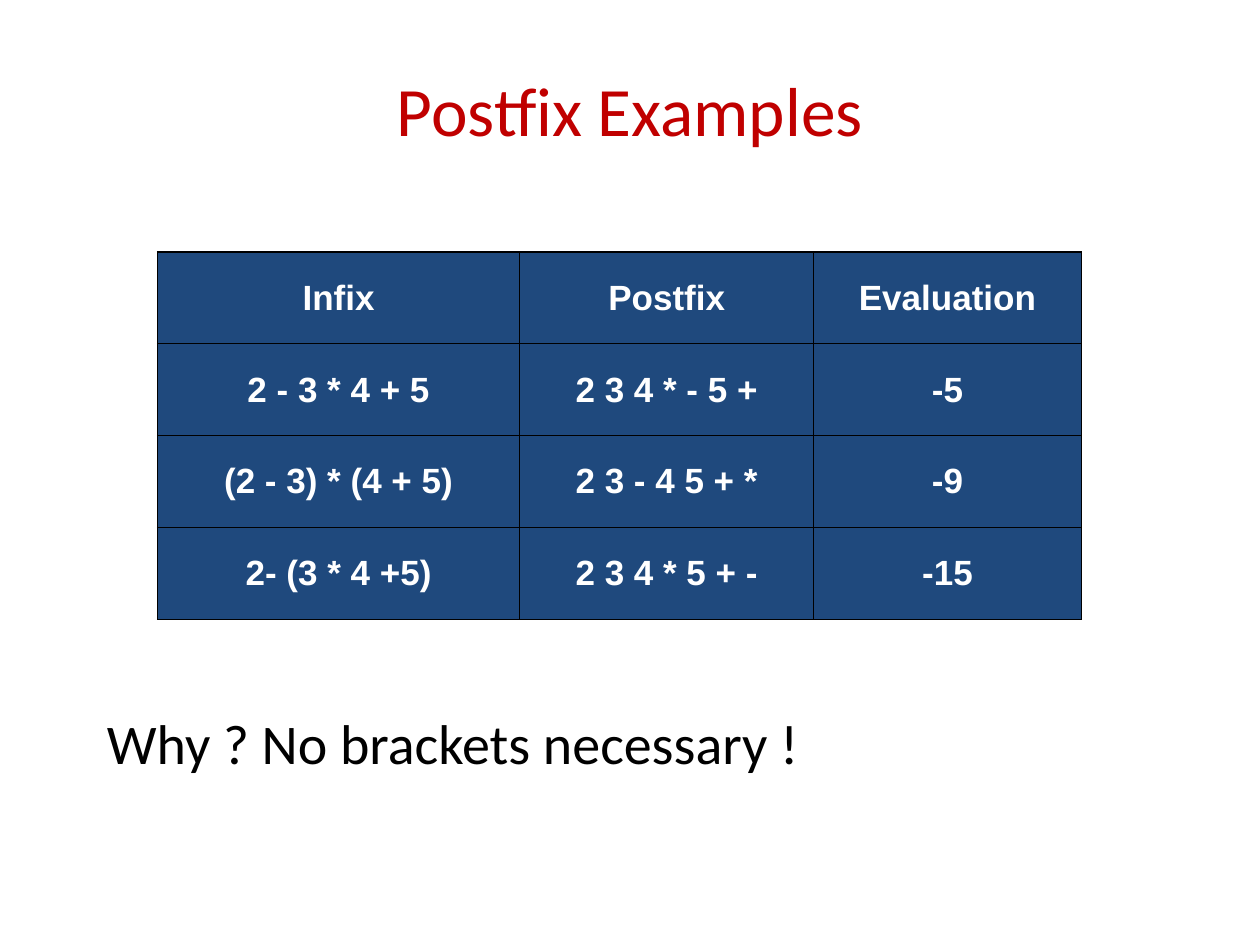
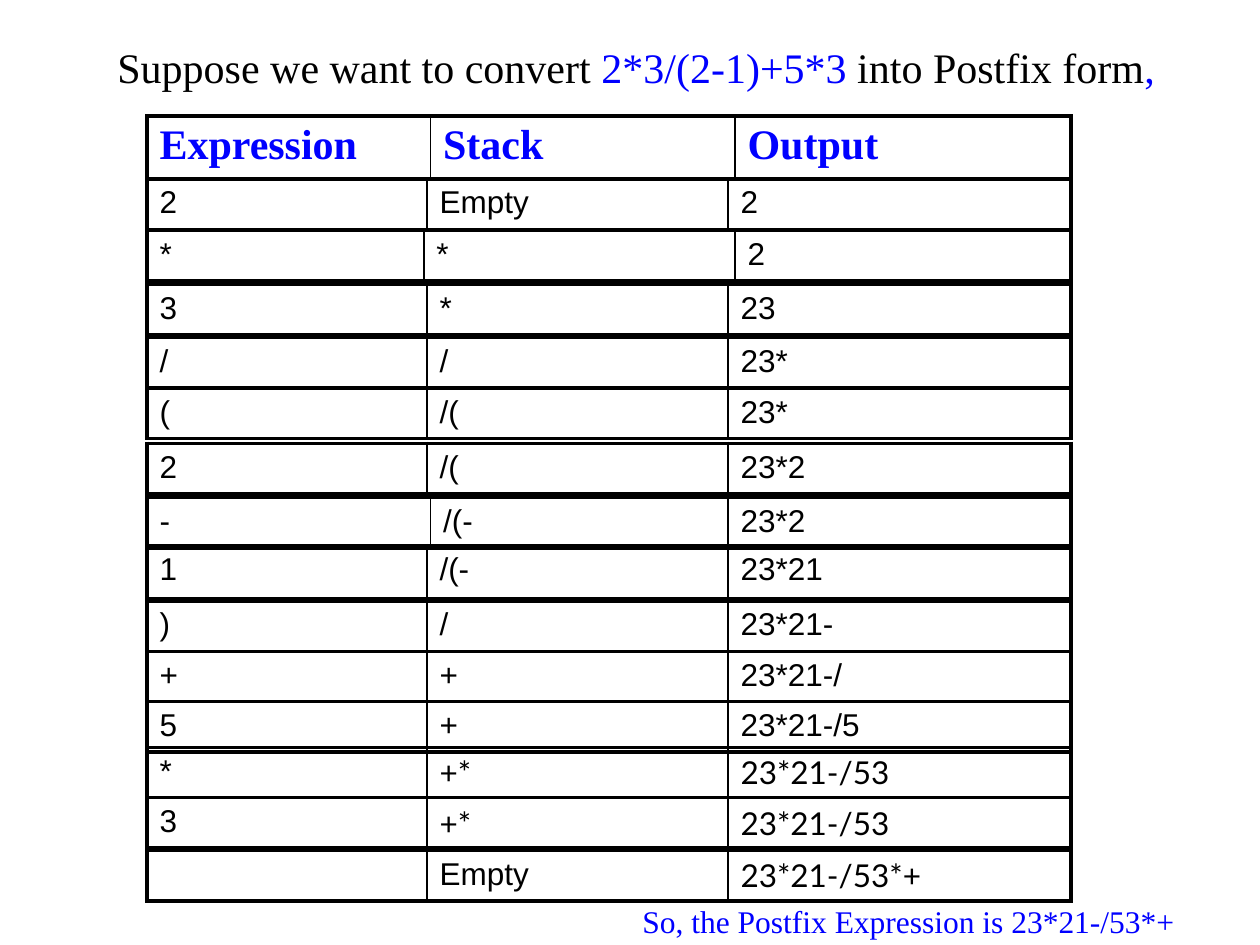
from lxml import etree
from pptx import Presentation, util as u
from pptx.dml.color import RGBColor
from pptx.enum import text
from pptx.oxml.ns import qn

COLORS = {"title": "C00000", "cell": "1F497D", "light": "FFFFFF",
          "ink": "000000", "accent": "0000FF"}
SANS, SERIF, BODY, SYMBOLS = "Arial", "Times New Roman", "Calibri", "Lato"
THIN, INNER, THICK = 0.75, 1, 2.25
TABLE_WIDTH = 528
TRACE_LEFT = 84

NOTATIONS = [
    ("Infix", "Postfix", "Evaluation"),
    ("2 - 3 * 4 + 5", "2 3 4 * - 5 +", "-5"),
    ("(2 - 3) * (4 + 5)", "2 3 - 4 5 + *", "-9"),
    ("2- (3 * 4 +5)", "2 3 4 * 5 + -", "-15"),
]

# Each step of the conversion: top, (expression, stack, output)
STEPS = [
    (102.2, ("2", "Empty", "2")),
    (131.8, ("*", "*", "2")),
    (162.7, ("3", "*", "23")),
    (193, ("/", "/", "23*")),
    (221.8, ("(", "/(", "23*")),
    (253.4, ("2", "/(", "23*2")),
    (284.4, ("-", "/(-", "23*2")),
    (311.8, ("1", "/(-", "23*21")),
    (343.4, (")", "/", "23*21-")),
    (372.2, ("+", "+", "23*21-/")),
    (401, ("5", "+", "23*21-/5")),
    (427, ("*", "+*", "23*21-/53")),
    (455.8, ("3", "+*", "23*21-/53")),
    (486, ("", "Empty", "23*21-/53*+")),
]
STEP_HEIGHT = 28.8
STEP_HEIGHTS = {"1": 30.2}
STEP_DIVIDERS = (160, 332)
DIVIDERS = {"*2": (158.2, 336), "-/(-": (162, 332)}
SYMBOL_TEXTS = {"+*", "23*21-/53", "23*21-/53*+"}


class Deck:
    def __init__(self):
        self.prs = Presentation()
        self.prs.slide_width, self.prs.slide_height = u.Pt(720), u.Pt(540)
        self.slide = None

    def new_slide(self):
        self.slide = self.prs.slides.add_slide(self.prs.slide_layouts[6])

    def style(self, font, face, size, color, bold=False):
        font.name, font.size, font.bold = face, u.Pt(size), bold
        font.color.rgb = RGBColor.from_string(COLORS[color])

    def line(self, box, runs, face, size, wrap=False, align=text.PP_ALIGN.LEFT):
        """Add one line of text from (wording, color) runs."""
        frame = self.slide.shapes.add_textbox(*map(u.Pt, box)).text_frame
        frame.word_wrap = wrap
        frame.vertical_anchor = text.MSO_ANCHOR.MIDDLE
        paragraph = frame.paragraphs[0]
        paragraph.alignment = align
        self.style(paragraph.font, face, size, runs[0][1])
        for wording, color in runs:
            run = paragraph.add_run()
            run.text = wording
            self.style(run.font, face, size, color)

    def borders(self, cell, widths):
        """Draw the left, right, top and bottom borders, in that order."""
        properties = cell._tc.get_or_add_tcPr()
        for side, width in zip("LRTB", widths):
            edge = etree.SubElement(properties, qn(f"a:ln{side}"), w=str(int(u.Pt(width))))
            fill = etree.SubElement(edge, qn("a:solidFill"))
            etree.SubElement(fill, qn("a:srgbClr"), val=COLORS["ink"])

    def table(self, left, top, dividers, row_height, rows, face, size, color,
              bold=False, fill=None, inner=INNER, outer=THICK, centered=False):
        edges = (0, *dividers, TABLE_WIDTH)
        last = len(edges) - 2
        grid = self.slide.shapes.add_table(
            len(rows), last + 1, u.Pt(left), u.Pt(top),
            u.Pt(TABLE_WIDTH), u.Pt(row_height * len(rows))).table
        grid.first_row = grid.horz_banding = False
        for column, start, end in zip(grid.columns, edges, edges[1:]):
            column.width = u.Pt(end - start)
        for r, wordings in enumerate(rows):
            grid.rows[r].height = u.Pt(row_height)
            for c, wording in enumerate(wordings):
                cell = grid.cell(r, c)
                self.borders(cell, (inner if c else outer, inner if c < last else outer,
                                    outer, outer))
                if fill:
                    cell.fill.solid()
                    cell.fill.fore_color.rgb = RGBColor.from_string(COLORS[fill])
                else:
                    cell.fill.background()
                cell.text = wording
                paragraph = cell.text_frame.paragraphs[0]
                if centered:
                    cell.vertical_anchor = text.MSO_ANCHOR.MIDDLE
                    paragraph.alignment = text.PP_ALIGN.CENTER
                self.style(paragraph.font, SYMBOLS if wording in SYMBOL_TEXTS else face,
                           size, color, bold)


def postfix_examples(deck):
    deck.new_slide()
    deck.line((36, 46, 648, 32), [("Postfix Examples", "title")], BODY, 39.6,
              wrap=True, align=text.PP_ALIGN.CENTER)
    deck.table(90, 144, (207, 375), 52.5, NOTATIONS, SANS, 20, "light", bold=True,
               fill="cell", inner=THIN, outer=THIN, centered=True)
    deck.line((54, 401, 612, 46), [("Why ? No brackets necessary !", "ink")], BODY, 32,
              wrap=True)


def conversion_trace(deck):
    deck.new_slide()
    deck.line((60, 20, 637, 36),
              [("Suppose we want to convert", "ink"), (" 2*3/(2-1)+5*3 ", "accent"),
               ("into Postfix form", "ink"), (",", "accent")], SERIF, 24)
    deck.line((360, 512, 328, 28),
              [("So, the Postfix Expression is 23*21-/53*+", "accent")], SERIF, 18)
    deck.table(TRACE_LEFT, 66.2, (162, 336), 36, [("Expression", "Stack", "Output")],
               SERIF, 24, "accent", bold=True)
    for top, step in STEPS:
        expression, stack, output = step
        dividers = DIVIDERS.get(expression + output if output == "2" else expression + stack,
                                STEP_DIVIDERS)
        deck.table(TRACE_LEFT, top, dividers, STEP_HEIGHTS.get(expression, STEP_HEIGHT),
                   [step], SANS, 18, "ink")


def main():
    deck = Deck()
    postfix_examples(deck)
    conversion_trace(deck)
    deck.prs.save("out.pptx")


if __name__ == "__main__":
    main()
